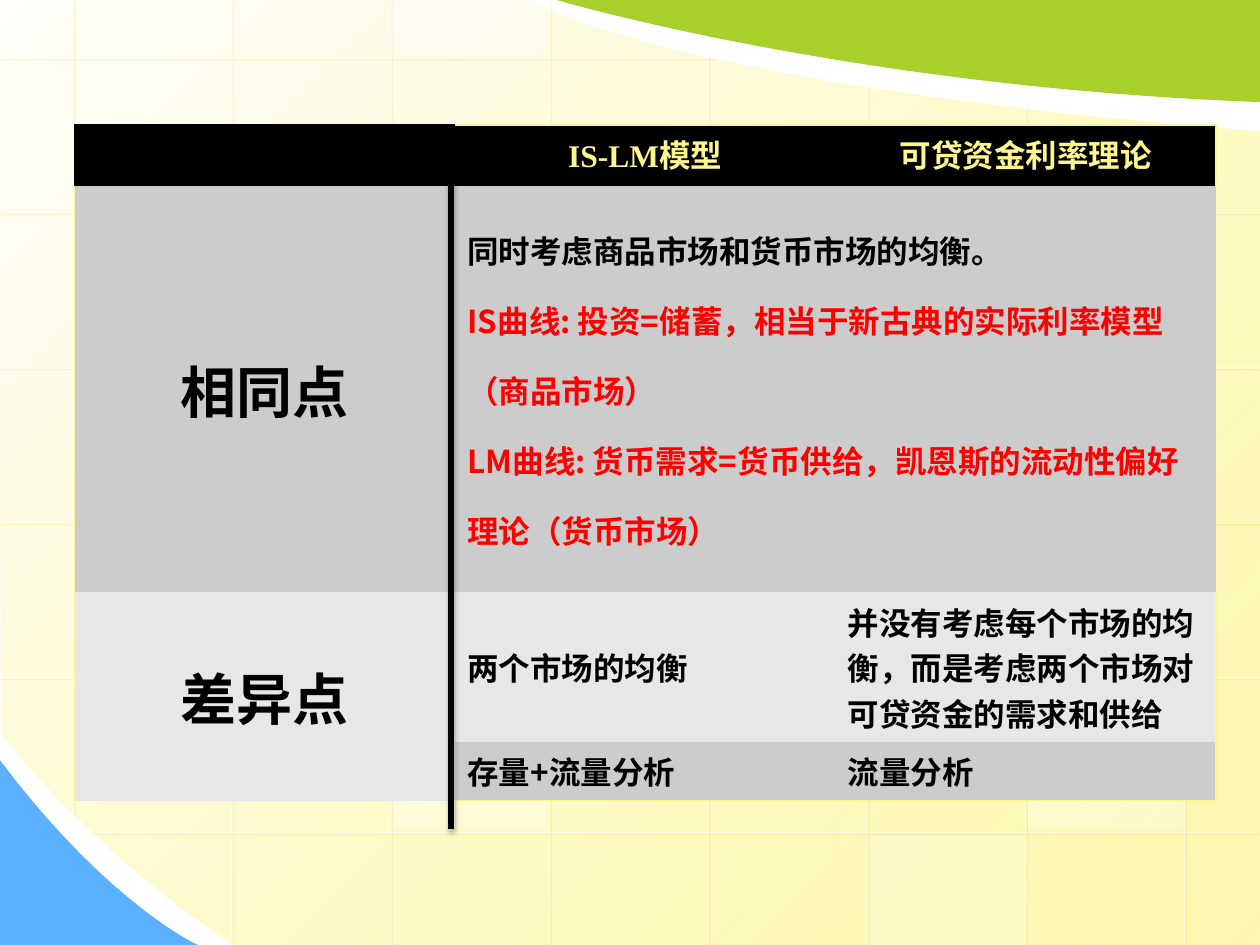
from dataclasses import dataclass
from typing import NamedTuple

from lxml import etree
from pptx import Presentation
from pptx.dml.color import RGBColor
from pptx.enum.shapes import MSO_CONNECTOR, MSO_SHAPE
from pptx.enum.text import MSO_ANCHOR, PP_ALIGN
from pptx.oxml.ns import qn
from pptx.util import Inches, Pt

STRAIGHT = MSO_CONNECTOR.STRAIGHT
RECTANGLE = MSO_SHAPE.RECTANGLE
TOP, MIDDLE = MSO_ANCHOR.TOP, MSO_ANCHOR.MIDDLE
LEFT, CENTER = PP_ALIGN.LEFT, PP_ALIGN.CENTER

SANS, SERIF = "Noto Sans CJK SC", "Times New Roman"
BLACK, WHITE, RED = "000000", "FFFFFF", "FF0000"
YELLOW, DARK_BAND, LIGHT_BAND = "FDF58D", "CCCCCC", "E7E7E7"
PLAIN_TABLE_STYLE = "{2D5ABB26-0587-4C30-8999-92F81FD0307C}"


class Shadow(NamedTuple):
    color: str
    opacity: int
    blur: float
    distance: float
    angle: int


class Tile(NamedTuple):
    left: float
    top: float
    height: float
    opacity: int


@dataclass
class Entry:
    """One table cell; each paragraph is (text, colour, exact line spacing)."""
    row: int
    col: int
    paragraphs: list
    fill: str
    size: int = 18
    font: str = SANS
    align: int = LEFT
    anchor: int = MIDDLE
    rows: int = 1
    cols: int = 1


GRID_SHADOW = Shadow("FFC319", 35, 0, 1.4, 45)
DIVIDER_SHADOW = Shadow(BLACK, 35, 3.1, 1.8, 90)

# Two numbers make a straight segment, six make a cubic curve.
PANEL = [(10, 1.04), (10, 4.27, 10, 7.5, 10, 7.5), (1.87, 7.51),
         (0.54, 6.6, 0.01, 5.8, 0.01, 5.81), (-0.01, -0.01), (4.2, 0),
         (4.2, 0.01, 5.36, 0.69, 10, 1.04)]
BLUE_CORNER = [(-0.01, 6.02), (-0.01, 6.76, -0.01, 7.5, -0.01, 7.5), (1.57, 7.5),
               (1.57, 7.5, 0.86, 7.18, -0.01, 6.02)]
GREEN_CORNER = [(10, 0.81), (10, 0.4, 10, 0, 10, 0), (4.42, 0),
                (4.42, 0, 6.74, 0.69, 10, 0.81)]

GRID_X, GRID_Y, STEP_X, STEP_Y = 0.58, 0.46, 1.26, 1.23
COLUMN_SPANS = [(0, 6.46), (0, 7.47), (0, 7.5), (0, 7.52), (0.43, 7.52),
                (0.68, 7.52), (0.85, 7.52), (0.98, 7.52)]
ROW_SPANS = [(5.68, 0)] + [(10.01, 0)] * 4 + [(9.97, 0.76)]
TILES = [Tile(4.38, 2.94, 1.18, 25), Tile(8.16, 5.4, 1.18, 30),
         Tile(0.6, 4.16, 1.18, 20), Tile(6.9, 6.63, 0.87, 20),
         Tile(3.11, 0, 0.44, 40), Tile(3.12, 5.4, 1.18, 30),
         Tile(6.89, 1.71, 1.18, 30)]

COLUMN_WIDTH = 3.02
ROW_HEIGHTS = [0.49, 3.22, 1.18, 0.47]
HEADER = {"fill": BLACK, "font": SERIF, "align": CENTER, "anchor": TOP}
ENTRIES = [
    Entry(0, 0, [], **HEADER),
    Entry(0, 1, [("IS-LM模型", YELLOW, None)], **HEADER),
    Entry(0, 2, [("可贷资金利率理论", YELLOW, None)], **HEADER),
    Entry(1, 0, [("相同点", BLACK, None)], DARK_BAND, size=32, align=CENTER),
    Entry(1, 1, [
        ("同时考虑商品市场和货币市场的均衡。", BLACK, None),
        ("IS曲线: 投资=储蓄，相当于新古典的实际利率模型（商品市场）", RED, Pt(40)),
        ("LM曲线: 货币需求=货币供给，凯恩斯的流动性偏好理论（货币市场）", RED, Pt(40)),
    ], DARK_BAND, cols=2),
    Entry(2, 0, [("差异点", BLACK, None)], LIGHT_BAND, size=32, align=CENTER, rows=2),
    Entry(2, 1, [("两个市场的均衡", BLACK, None)], LIGHT_BAND),
    Entry(2, 2, [("并没有考虑每个市场的均衡，而是考虑两个市场对可贷资金的需求和供给",
                  BLACK, None)], LIGHT_BAND),
    Entry(3, 1, [("存量+流量分析", BLACK, None)], DARK_BAND),
    Entry(3, 2, [("流量分析", BLACK, None)], DARK_BAND),
]


def rgb(value: str) -> RGBColor:
    return RGBColor.from_string(value)


def add_element(parent, tag: str, **attributes):
    return etree.SubElement(parent, qn(tag), {k: str(v) for k, v in attributes.items()})


def set_opacity(color_parent, percent: int) -> None:
    for color in color_parent.iter(qn("a:srgbClr")):
        add_element(color, "a:alpha", val=percent * 1000)


def add_outline(slide, segments: list):
    """Build the outline from segment ends, then bend the cubic segments."""
    ends = [(Inches(segment[-2]), Inches(segment[-1])) for segment in segments]
    builder = slide.shapes.build_freeform(*ends[0])
    builder.add_line_segments(ends[1:], close=True)
    shape = builder.convert_to_shape()
    outline = next(shape._element.iter(qn("a:path")))
    for straight, segment in zip(list(outline), segments):
        if len(segment) == 6:
            curve = add_element(outline, "a:cubicBezTo")
            for x, y in zip(segment[::2], segment[1::2]):
                add_element(curve, "a:pt", x=Inches(x) - shape.left,
                            y=Inches(y) - shape.top)
            outline.replace(straight, curve)
    shape.shadow.inherit = False
    shape.line.fill.background()
    return shape


def add_corner(slide, segments: list, color: str) -> None:
    fill = add_outline(slide, segments).fill
    fill.solid()
    fill.fore_color.rgb = rgb(color)


def add_panel(slide) -> None:
    panel = add_outline(slide, PANEL)
    panel.fill.gradient()
    panel.fill.gradient_angle = 315
    for stop, (position, color) in zip(panel.fill.gradient_stops,
                                       [(0, "FFFFFC"), (1, YELLOW)]):
        stop.position = position
        stop.color.rgb = rgb(color)
    last_stop = list(panel._element.spPr.iter(qn("a:gs")))[-1]
    set_opacity(last_stop, 70)


def add_line(slide, start: tuple, end: tuple, color: str, width: float,
             shadow: Shadow, opacity: int = 100) -> None:
    line = slide.shapes.add_connector(STRAIGHT, *map(Inches, start + end))
    line.line.color.rgb = rgb(color)
    line.line.width = Pt(width)
    properties = line._element.spPr
    if opacity < 100:
        set_opacity(properties, opacity)
    effects = add_element(properties, "a:effectLst")
    outer = add_element(effects, "a:outerShdw", blurRad=Pt(shadow.blur),
                        dist=Pt(shadow.distance), dir=shadow.angle * 60000,
                        algn="ctr", rotWithShape=0)
    add_element(outer, "a:srgbClr", val=shadow.color)
    set_opacity(outer, shadow.opacity)


def add_tile(slide, tile: Tile) -> None:
    shape = slide.shapes.add_shape(RECTANGLE, Inches(tile.left), Inches(tile.top),
                                   Inches(1.23), Inches(tile.height))
    shape.shadow.inherit = False
    shape.line.fill.background()
    shape.fill.solid()
    shape.fill.fore_color.rgb = rgb(WHITE)
    set_opacity(shape._element.spPr, tile.opacity)


def add_borders(cell, row: int, col: int) -> None:
    """Line the sides of a cell that lie on the edge of the table."""
    color = BLACK if row == col == 0 else YELLOW
    edges = {"a:lnL": col == 0, "a:lnR": col == 2,
             "a:lnT": row == 0, "a:lnB": row == len(ROW_HEIGHTS) - 1}
    for tag, on_edge in edges.items():
        if on_edge:
            border = add_element(cell._tc.get_or_add_tcPr(), tag, w=Pt(1))
            add_element(add_element(border, "a:solidFill"), "a:srgbClr", val=color)


def fill_cell(table, entry: Entry) -> None:
    cell = table.cell(entry.row, entry.col)
    if entry.rows * entry.cols > 1:
        cell.merge(table.cell(entry.row + entry.rows - 1, entry.col + entry.cols - 1))
    cell.fill.solid()
    cell.fill.fore_color.rgb = rgb(entry.fill)
    cell.vertical_anchor = entry.anchor
    frame = cell.text_frame
    for index, (text, color, spacing) in enumerate(entry.paragraphs):
        paragraph = frame.add_paragraph() if index else frame.paragraphs[0]
        paragraph.alignment = entry.align
        paragraph.line_spacing = spacing
        run = paragraph.add_run()
        run.text = text
        for name, value in {"size": Pt(entry.size), "bold": True, "name": entry.font}.items():
            setattr(run.font, name, value)
        run.font.color.rgb = rgb(color)
        add_element(run._r.get_or_add_rPr(), "a:ea", typeface=SANS)


def add_comparison(slide) -> None:
    table = slide.shapes.add_table(
        len(ROW_HEIGHTS), 3, Inches(0.59), Inches(0.99),
        Inches(3 * COLUMN_WIDTH), Inches(sum(ROW_HEIGHTS))).table
    table.first_row = table.horz_banding = False
    table._tbl.tblPr.find(qn("a:tableStyleId")).text = PLAIN_TABLE_STYLE
    for column in table.columns:
        column.width = Inches(COLUMN_WIDTH)
    for row, height in enumerate(ROW_HEIGHTS):
        table.rows[row].height = Inches(height)
        for col in range(3):
            add_borders(table.cell(row, col), row, col)
    for entry in ENTRIES:
        fill_cell(table, entry)


def main() -> None:
    deck = Presentation()
    deck.slide_width, deck.slide_height = Inches(10), Inches(7.5)
    slide = deck.slides.add_slide(deck.slide_layouts[6])
    add_panel(slide)
    add_corner(slide, BLUE_CORNER, "5CB1FE")
    grid = [((GRID_X + i * STEP_X, top), (GRID_X + i * STEP_X, bottom))
            for i, (top, bottom) in enumerate(COLUMN_SPANS)]
    grid += [((right, GRID_Y + i * STEP_Y), (left, GRID_Y + i * STEP_Y))
             for i, (right, left) in enumerate(ROW_SPANS)]
    for start, end in grid:
        add_line(slide, start, end, WHITE, 0.75, GRID_SHADOW, opacity=50)
    for tile in TILES:
        add_tile(slide, tile)
    add_corner(slide, GREEN_CORNER, "A8D02A")
    add_comparison(slide)
    add_line(slide, (3.58, 0.99), (3.58, 6.58), BLACK, 3, DIVIDER_SHADOW)
    deck.save("out.pptx")


if __name__ == "__main__":
    main()
